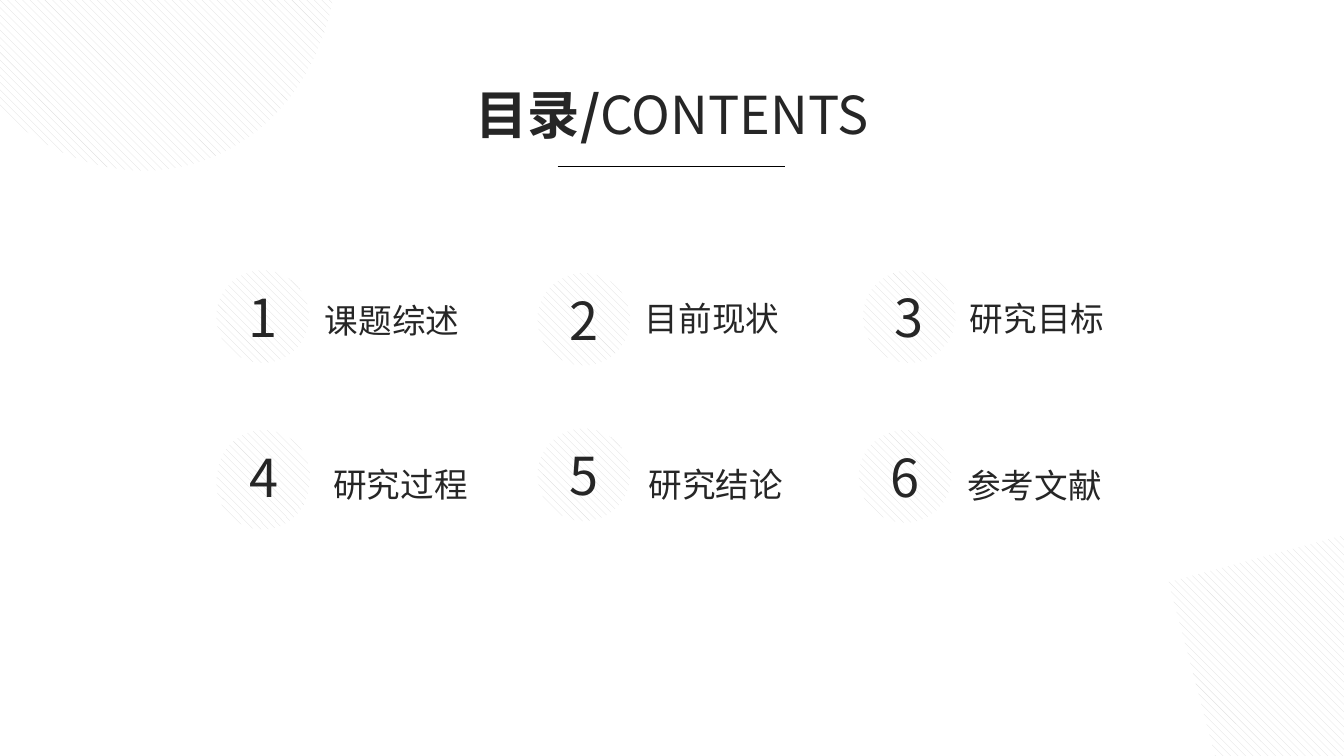
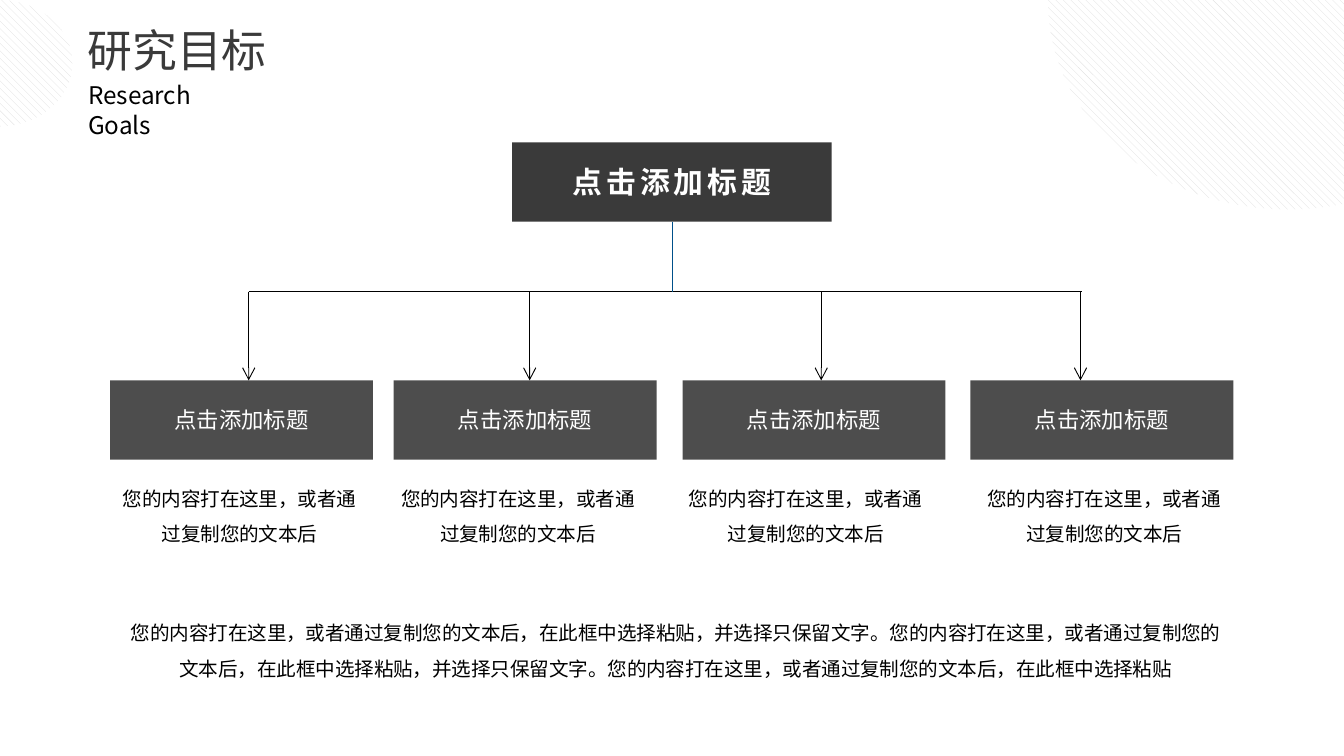
from lxml import etree
from pptx import Presentation
from pptx.dml.color import RGBColor
from pptx.enum.dml import MSO_PATTERN
from pptx.enum.shapes import MSO_CONNECTOR, MSO_SHAPE
from pptx.enum.text import MSO_ANCHOR, MSO_AUTO_SIZE, PP_ALIGN
from pptx.oxml.ns import qn
from pptx.util import Cm, Pt

LEFT, CENTER = PP_ALIGN.LEFT, PP_ALIGN.CENTER
TOP = MSO_ANCHOR.TOP
NO_FIT = MSO_AUTO_SIZE.NONE
OVAL, RECT, TRIANGLE = MSO_SHAPE.OVAL, MSO_SHAPE.RECTANGLE, MSO_SHAPE.RIGHT_TRIANGLE
HATCH = MSO_PATTERN.WIDE_DOWNWARD_DIAGONAL
STRAIGHT = MSO_CONNECTOR.STRAIGHT
color = RGBColor.from_string

FONT = "Noto Sans CJK SC"
INK, DARK, GREY, BLACK, WHITE = "262626", "3A3A3A", "4D4D4D", "000000", "FFFFFF"
HATCH_GREY, TRUNK_BLUE = "DDDDDD", "00508A"
THIN = Pt(0.5)


def write(shape, text, size, ink, align=CENTER, wrap=True, bold=False, spacing=None):
    """Fill the shape with one paragraph and return that paragraph."""
    frame = shape.text_frame
    frame.word_wrap = wrap
    frame.auto_size = NO_FIT
    paragraph = frame.paragraphs[0]
    paragraph.text = text
    paragraph.alignment = align
    paragraph.line_spacing = spacing
    font = paragraph.font
    font.name, font.size, font.bold = FONT, Pt(size), bold
    font.color.rgb = color(ink)
    defaults = paragraph._p.pPr.find(qn("a:defRPr"))
    etree.SubElement(defaults, qn("a:ea")).set("typeface", FONT)
    return paragraph


def add_block(slide, kind, left, top, width, height, fill=None, rotation=0):
    """Add a borderless shape, hatched unless a solid fill is given."""
    block = slide.shapes.add_shape(kind, Cm(left), Cm(top), Cm(width), Cm(height))
    block.shadow.inherit = False
    block.line.fill.background()
    block.rotation = rotation
    if fill:
        block.fill.solid()
        block.fill.fore_color.rgb = color(fill)
    else:
        block.fill.patterned()
        block.fill.pattern = HATCH
        block.fill.fore_color.rgb = color(HATCH_GREY)
        block.fill.back_color.rgb = color(WHITE)
    return block


prs = Presentation()
prs.slide_width, prs.slide_height = Cm(25.4), Cm(14.29)
title_only = prs.slide_layouts[5]
contents = prs.slides.add_slide(title_only)
goals = prs.slides.add_slide(title_only)

# Titles
for slide, text, size, ink, align, left, top, width, height in (
    (contents, "目录/", 28, INK, CENTER, 8.61, 1.42, 8.18, 1.45),
    (goals, "研究目标", 24, DARK, LEFT, 1.4, 0.3, 5.92, 1.3),
):
    title = slide.shapes.title
    title.left, title.top = Cm(left), Cm(top)
    title.width, title.height = Cm(width), Cm(height)
    title.text_frame.vertical_anchor = TOP
    write(title, text, size, ink, align)
heading = contents.shapes.title.text_frame.paragraphs[0]
heading.runs[0].font.bold = True
heading.add_run().text = "CONTENTS"

# Hatched decorations
for slide, kind, left, top, width, height, rotation in (
    (contents, TRIANGLE, 22.5, 10.46, 9.07, 7.82, 75),
    (contents, OVAL, -2.11, -5.18, 9.07, 7.82, 75),
    (contents, OVAL, 4.09, 8.26, 1.75, 1.75, 0),
    (goals, OVAL, -1.4, 0, 2.77, 2.39, 0),
    (goals, OVAL, 19.81, -3.86, 9.07, 7.82, 0),
):
    add_block(slide, kind, left, top, width, height, rotation=rotation)

# Contents: numbered chapters
chapters = (
    ("课题综述", 4.09, 5.11, 5.89, 5.54),
    ("目前现状", 10.16, 5.16, 11.94, 5.51),
    ("研究目标", 16.31, 5.11, 18.08, 5.51),
    ("研究过程", 4.11, 8.13, 6.05, 8.64),
    ("研究结论", 10.16, 8.1, 12.01, 8.64),
    ("参考文献", 16.23, 8.13, 18.03, 8.66),
)
for number, (chapter, left, top, label_left, label_top) in enumerate(chapters, 1):
    disc = add_block(contents, OVAL, left, top, 1.75, 1.75)
    write(disc, str(number), 28, INK, wrap=False)
    label = contents.shapes.add_textbox(Cm(label_left), Cm(label_top), Cm(3.07), Cm(1.02))
    write(label, chapter, 18, INK, LEFT, wrap=False)

# Goals: one root box, four branches
subtitle = goals.shapes.add_textbox(Cm(1.42), Cm(1.4), Cm(3.51), Cm(0.81))
write(subtitle, "Research Goals", 13, BLACK, LEFT)

root = add_block(goals, RECT, 9.68, 2.69, 6.04, 1.5, DARK)
root_text = write(root, "点击添加标题", 16, WHITE, wrap=False, bold=True)
root_text._p.pPr.find(qn("a:defRPr")).set("spc", "220")
root_text.runs[0]._r.get_or_add_rPr().set("spc", "220")

BRANCH_TEXT = "您的内容打在这里，或者通过复制您的文本后"
for box_left, text_left in ((2.08, 1.9), (7.44, 7.16), (12.9, 12.6), (18.34, 18.24)):
    branch = add_block(goals, RECT, box_left, 7.19, 4.97, 1.5, GREY)
    write(branch, "点击添加标题", 12, WHITE, wrap=False)
    detail = goals.shapes.add_textbox(Cm(text_left), Cm(8.86), Cm(5.26), Cm(1.52))
    write(detail, BRANCH_TEXT, 10.5, BLACK, spacing=1.5)

SUMMARY_TEXT = BRANCH_TEXT + "，在此框中选择粘贴"
summary = goals.shapes.add_textbox(Cm(2.08), Cm(11.4), Cm(21.41), Cm(1.52))
write(summary, (SUMMARY_TEXT + "，并选择只保留文字。") * 2 + SUMMARY_TEXT,
      10.5, BLACK, spacing=1.5)

# Rules and arrows; the trunk comes last and is joined to the root
RAIL = 5.51
rules = [
    (contents, 10.54, 3.15, 14.83, 3.15, BLACK, False),
    (goals, 4.7, RAIL, 20.45, RAIL, BLACK, False),
    *((goals, x, RAIL, x, 7.19, BLACK, True) for x in (4.7, 10.01, 15.52, 20.42)),
    (goals, 12.7, 4.19, 12.7, RAIL, TRUNK_BLUE, False),
]
for slide, x1, y1, x2, y2, ink, has_arrow in rules:
    rule = slide.shapes.add_connector(STRAIGHT, Cm(x1), Cm(y1), Cm(x2), Cm(y2))
    rule.line.width = THIN
    rule.line.color.rgb = color(ink)
    if has_arrow:
        etree.SubElement(rule.line._get_or_add_ln(), qn("a:tailEnd")).set("type", "arrow")
    etree.SubElement(rule._element.spPr, qn("a:effectLst"))
rule.begin_connect(root, 2)

prs.save("out.pptx")
